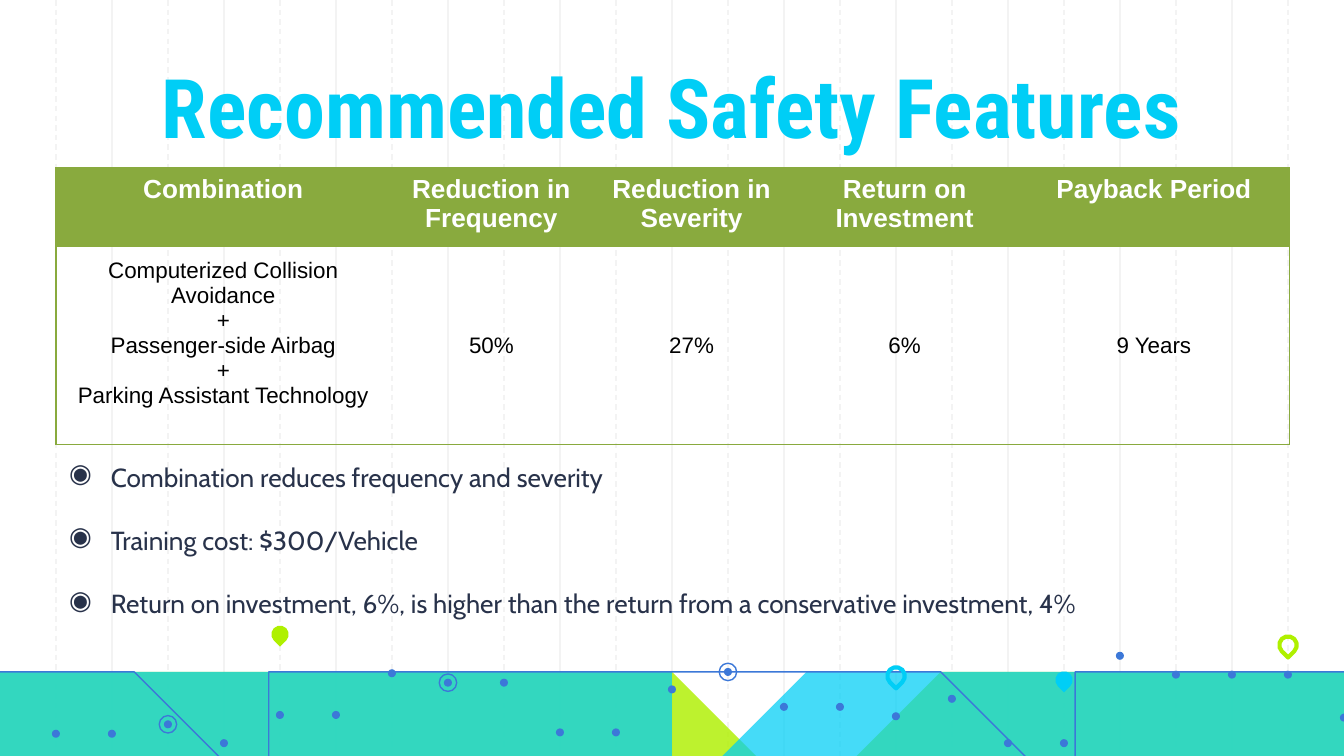
from lxml import etree
from pptx import Presentation
from pptx.dml.color import RGBColor
from pptx.enum.dml import MSO_LINE
from pptx.enum.shapes import MSO_CONNECTOR, MSO_SHAPE
from pptx.enum.text import MSO_ANCHOR, PP_ALIGN
from pptx.oxml.ns import qn
from pptx.util import Inches, Pt

STRAIGHT, DASH = MSO_CONNECTOR.STRAIGHT, MSO_LINE.DASH
OVAL, TEARDROP = MSO_SHAPE.OVAL, MSO_SHAPE.TEAR
LEFT, CENTER = PP_ALIGN.LEFT, PP_ALIGN.CENTER
TOP, MIDDLE, BOTTOM = MSO_ANCHOR.TOP, MSO_ANCHOR.MIDDLE, MSO_ANCHOR.BOTTOM

WHITE = RGBColor(0xFF, 0xFF, 0xFF)
BLACK = RGBColor(0, 0, 0)
PALE_GRAY = RGBColor(0xF3, 0xF3, 0xF3)
LIME = RGBColor(0xAF, 0xF0, 0x00)
CYAN = RGBColor(0x00, 0xCE, 0xF6)
BLUE = RGBColor(0x3C, 0x78, 0xD8)
OLIVE = RGBColor(0x89, 0xAA, 0x3E)
NAVY = RGBColor(0x28, 0x32, 0x4A)

SLIDE_W, SLIDE_H = 10, 5.625
STEPS = 24
STEP = SLIDE_W / STEPS
MARGIN = 0.1
NO_TABLE_STYLE = "{2D5ABB26-0587-4C30-8999-92F81FD0307C}"

prs = Presentation()
prs.slide_width, prs.slide_height = Inches(SLIDE_W), Inches(SLIDE_H)
slide = prs.slides.add_slide(prs.slide_layouts[6])
shapes = slide.shapes


def write(frame, lines, font, size, color, bold=False, align=LEFT,
          anchor=TOP, gap=0, bullet=None):
    frame.word_wrap = True
    frame.vertical_anchor = anchor
    for number, line in enumerate(lines):
        paragraph = frame.add_paragraph() if number else frame.paragraphs[0]
        paragraph.alignment = align
        paragraph.space_after = Pt(gap)
        run = paragraph.add_run()
        run.text = line
        run.font.name, run.font.size, run.font.bold = font, Pt(size), bold
        run.font.color.rgb = color
        if bullet:
            props = paragraph._p.get_or_add_pPr()
            props.set("marL", str(Inches(0.31)))
            props.set("indent", str(-Inches(0.31)))
            bullet_color = etree.SubElement(props, qn("a:buClr"))
            etree.SubElement(bullet_color, qn("a:srgbClr"), val=str(color))
            etree.SubElement(props, qn("a:buChar"), char=bullet)


def paint(shape, fill=None, line=None, width=0.75, alpha=None):
    shape.shadow.inherit = False
    if fill is None:
        shape.fill.background()
    else:
        shape.fill.solid()
        shape.fill.fore_color.rgb = fill
        if alpha:
            color = shape._element.spPr.find(".//" + qn("a:srgbClr"))
            etree.SubElement(color, qn("a:alpha"), val=str(alpha * 1000))
    if line is None:
        shape.line.fill.background()
    else:
        shape.line.color.rgb = line
        shape.line.width = Pt(width)


# Vertical grid, every other line dashed
for step in range(1, STEPS):
    x = Inches(step * STEP)
    grid_line = shapes.add_connector(STRAIGHT, x, 0, x, Inches(SLIDE_H))
    grid_line.line.color.rgb = PALE_GRAY
    grid_line.line.width = Pt(0.75)
    if step % 2:
        grid_line.line.dash_style = DASH
    etree.SubElement(grid_line._element.spPr, qn("a:effectLst"))

# Translucent areas, one height per grid step
lime_heights = [4.87, 5.17, 5, 5, 5, 4.86, 5.23, 5.44, 5.44, 5.15, 5.08, 4.93, 5.27,
                5.28, 5.55, 5.55, 5.41, 5.41, 5.18, 5.32, 5.09, 5.08, 5.08, 5.17, 4.94]
cyan_heights = [5.16, 5.31, 5.31, 5.31, 5.19, 5.45, 5.45, 5.31, 5.23, 5.23, 5.3, 5.21, 5.35,
                5.57, 5.42, 5.42, 5.17, 5.31, 5.31, 5.19, 5.19, 5.19, 5.44, 5.35, 5.01]
for heights, color, alpha in ((lime_heights, LIME, 82), (cyan_heights, CYAN, 73)):
    ridge = [(step * STEP, y) for step, y in enumerate(heights)]
    area = shapes.build_freeform(0, SLIDE_H, scale=Inches(1))
    area.add_line_segments(ridge + [(SLIDE_W, SLIDE_H)], close=True)
    paint(area.convert_to_shape(), fill=color, alpha=alpha)

# Trend line with a dot on each step
trend_heights = [5.06, 5.46, 5.46, 5.39, 5.53, 5.32, 5.32, 5.01, 5.08, 5.08, 5.45, 5.45, 5.13,
                 5, 5.26, 5.26, 5.33, 5.2, 5.53, 5.53, 4.88, 5.02, 5.02, 5.02, 5.34]
trend_points = [(step * STEP, y) for step, y in enumerate(trend_heights)]
trend = shapes.build_freeform(*trend_points[0], scale=Inches(1))
trend.add_line_segments(trend_points[1:], close=False)
paint(trend.convert_to_shape(), line=BLUE)

# Dots, rings and map pins: form, step, centre height, size, fill, line, width
markers = [(OVAL, step, trend_heights[step], 0.06, BLUE, None, 0)
           for step in range(1, STEPS + 1)]
markers += [(OVAL, step, trend_heights[step], 0.13, None, BLUE, 0.75)
            for step in (3, 8, 13)]
markers += [(TEARDROP, 5, 4.72, 0.13, LIME, None, 0),
            (TEARDROP, 16, 5.03, 0.13, None, CYAN, 2.25),
            (TEARDROP, 19, 5.06, 0.13, CYAN, None, 0),
            (TEARDROP, 23, 4.8, 0.13, None, LIME, 2.25)]
for form, step, y, size, fill, line, width in markers:
    marker = shapes.add_shape(form, Inches(step * STEP - size / 2), Inches(y - size / 2),
                              Inches(size), Inches(size))
    paint(marker, fill, line, width)
    if form == TEARDROP:
        marker.rotation = 135

# Title and bullet list
bullets = ["Combination reduces frequency and severity",
           "Training cost: $300/Vehicle",
           "Return on investment, 6%, is higher than the return from a conservative investment, 4%"]
title_format = dict(font="Roboto Condensed", size=44, color=CYAN, bold=True,
                    align=CENTER, anchor=BOTTOM)
bullet_format = dict(font="Cabin", size=14, color=NAVY, gap=17, bullet="\u25c9")
for box, lines, text_format in (
        ((0, 0, SLIDE_W, 1.25), ["Recommended Safety Features"], title_format),
        ((STEP, 3.33, SLIDE_W - STEP, 1.6), bullets, bullet_format)):
    frame = shapes.add_textbox(*map(Inches, box)).text_frame
    frame.margin_left = frame.margin_right = Inches(MARGIN)
    frame.margin_top = frame.margin_bottom = Inches(MARGIN)
    write(frame, lines, **text_format)

# Table
column_widths = [2.49, 1.5, 1.48, 1.69, 2.02]
row_heights = [0.58, 1.4]
combination = ["Computerized Collision Avoidance", "+", "Passenger-side Airbag", "+",
               "Parking Assistant Technology"]
table_rows = [
    [["Combination"], ["Reduction in Frequency"], ["Reduction in Severity"],
     ["Return on Investment"], ["Payback Period"]],
    [combination, ["50%"], ["27%"], ["6%"], ["9 Years"]],
]
table = shapes.add_table(2, 5, Inches(STEP), Inches(1.25), Inches(sum(column_widths)),
                         Inches(sum(row_heights))).table
table.first_row = table.horz_banding = False
table._tbl.tblPr.find(qn("a:tableStyleId")).text = NO_TABLE_STYLE
for column, width in zip(table.columns, column_widths):
    column.width = Inches(width)
for r, (height, row) in enumerate(zip(row_heights, table_rows)):
    table.rows[r].height = Inches(height)
    header = r == 0
    for c, lines in enumerate(row):
        cell = table.cell(r, c)
        write(cell.text_frame, lines, font="Arial", size=14 if header else 12,
              color=WHITE if header else BLACK, bold=header, align=CENTER)
        cell.vertical_anchor = TOP if header else MIDDLE
        if lines is combination:
            cell.margin_bottom = Inches(0.23)
        # Borders on the outer edges and under the header
        props = cell._tc.get_or_add_tcPr()
        edges = {"a:lnL": c == 0, "a:lnR": c == 4, "a:lnT": True, "a:lnB": not header}
        for tag, drawn in edges.items():
            if drawn:
                border = etree.SubElement(props, qn(tag), w=str(Pt(0.75)))
                solid = etree.SubElement(border, qn("a:solidFill"))
                etree.SubElement(solid, qn("a:srgbClr"), val=str(OLIVE))
        if header:
            cell.fill.solid()
            cell.fill.fore_color.rgb = OLIVE
        else:
            cell.fill.background()

prs.save("out.pptx")
